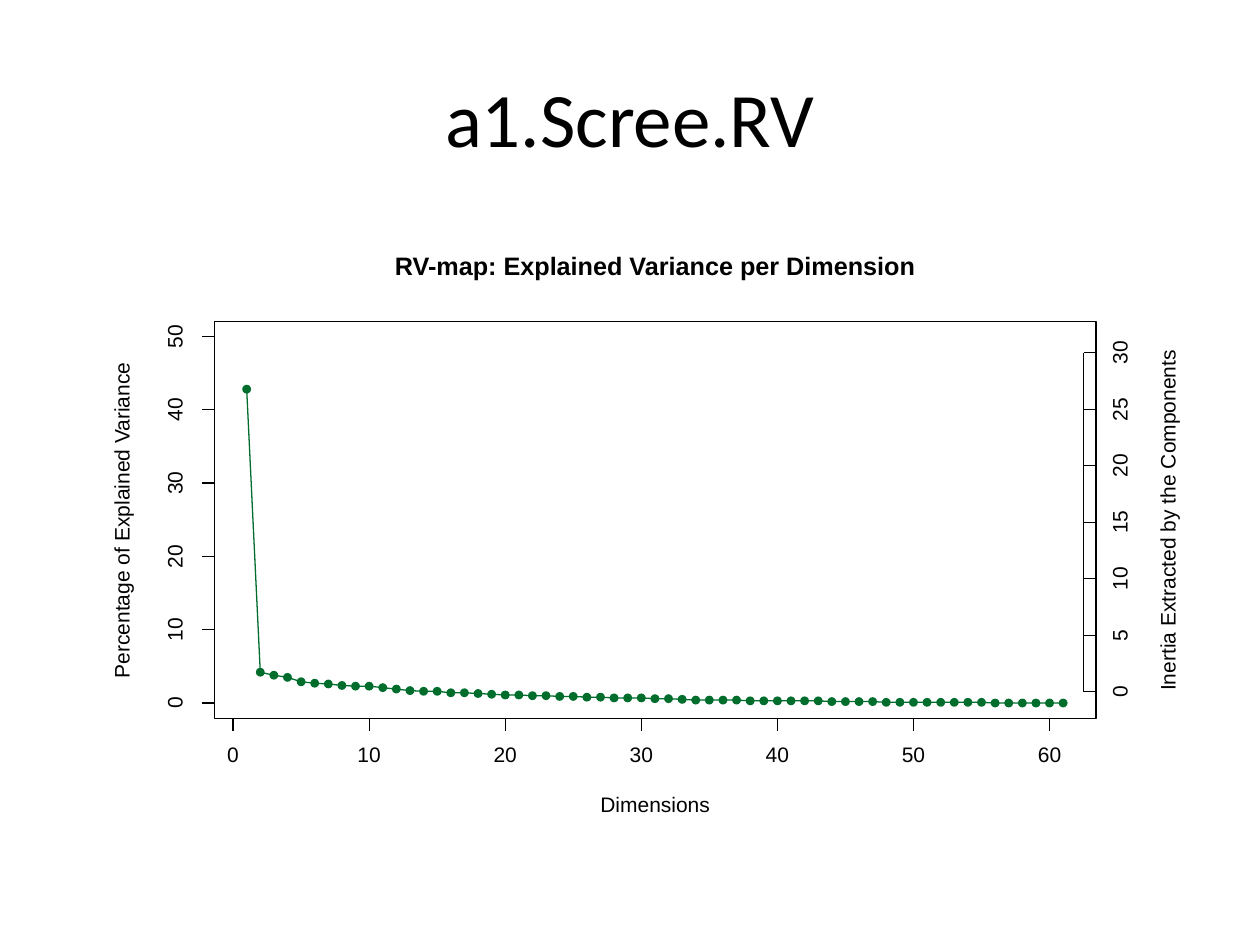
from dataclasses import dataclass

from lxml.etree import SubElement as Sub
from pptx import Presentation
from pptx.dml.color import RGBColor as Color
from pptx.enum.shapes import MSO_CONNECTOR as Link, MSO_SHAPE as Shape
from pptx.enum.text import MSO_ANCHOR as Anchor, PP_ALIGN as Align
from pptx.oxml.ns import qn
from pptx.util import Inches, Pt


@dataclass(frozen=True)
class Theme:
    ink: str = "000000"
    paper: str = "FFFFFF"
    green: str = "006D2C"
    head: float = 44
    title: float = 14.4
    label: float = 12
    line: float = 0.75
    head_font: str = "Calibri"
    font: str = "Arial"


@dataclass(frozen=True)
class Scale:
    zero: float
    end: float
    top: int
    step: int

    def at(self, value):
        return self.zero + (self.end - self.zero) * value / self.top

    def ticks(self):
        return [(str(n), self.at(n)) for n in range(0, self.top + 1, self.step)]


THEME = Theme()
LEFT, TOP, RIGHT, BASE = 1.7, 2.55, 8.7, 5.7
TICK, DOT = 0.1, 0.07
DIMS = Scale(1.85, 8.33, 60, 10)
SHARE = Scale(5.58, 2.67, 50, 10)
POWER = Scale(5.49, 2.8, 30, 5)
VALUES = [
    42.8, 4.2, 3.8, 3.5, 2.9, 2.7, 2.6, 2.4, 2.3, 2.3,
    2.1, 1.9, 1.7, 1.6, 1.6, 1.4, 1.4, 1.3, 1.2, 1.1,
    1.1, 1.0, 1.0, 0.9, 0.9, 0.8, 0.8, 0.7, 0.7, 0.7,
    0.6, 0.6, 0.5, 0.4, 0.4, 0.4, 0.4, 0.3, 0.3, 0.3,
    0.3, 0.3, 0.3, 0.2, 0.2, 0.2, 0.2, 0.1, 0.1, 0.1,
    0.1, 0.1, 0.1, 0.1, 0.1, 0.0, 0.0, 0.0, 0.0, 0.0, 0.0,
]


def put(target, form):
    for name, value in form.items():
        setattr(target, name, value)


def write(para, text, size, font, bold=False):
    para.alignment = Align.CENTER
    run = para.add_run()
    run.text = text
    put(run.font, {"size": Pt(size), "name": font, "bold": bold})
    run.font.color.rgb = Color.from_string(THEME.ink)


def paint(shape, fill=None, line=None):
    shape.shadow.inherit = False
    if fill:
        shape.fill.solid()
        shape.fill.fore_color.rgb = Color.from_string(fill)
    else:
        shape.fill.background()
    if line:
        shape.line.color.rgb = Color.from_string(line)
        shape.line.width = Pt(THEME.line)
    else:
        shape.line.fill.background()


def block(group, kind, box, fill=None, line=None):
    paint(group.add_shape(kind, *map(Inches, box)), fill, line)


def rule(group, *ends):
    line = group.add_connector(Link.STRAIGHT, *map(Inches, ends))
    line.line.color.rgb = Color.from_string(THEME.ink)
    line.line.width = Pt(THEME.line)
    Sub(line._element.spPr, qn("a:effectLst"))


def label(group, text, mid, size, turn=0, bold=False):
    wide, high = size
    box = group.add_textbox(*map(Inches, (mid[0] - wide / 2, mid[1] - high / 2, wide, high)))
    box.rotation = turn
    frame = box.text_frame
    put(frame, {"margin_left": 0, "margin_right": 0, "margin_top": 0,
                "margin_bottom": 0, "word_wrap": False,
                "vertical_anchor": Anchor.MIDDLE})
    points = THEME.title if bold else THEME.label
    para = frame.paragraphs[0]
    para.line_spacing = Pt(points)
    write(para, text, points, THEME.font, bold)


def mark(group, text, mid, turn=0):
    label(group, text, mid, (0.1 * len(text), 0.12), turn)


def curve(group, points):
    spots = [(Inches(x), Inches(y)) for x, y in points]
    pen = group.build_freeform(*spots[0])
    pen.add_line_segments(spots[1:], close=False)
    paint(pen.convert_to_shape(), line=THEME.green)


def base_scale(group):
    rule(group, DIMS.zero, BASE, DIMS.end, BASE)
    for text, x in DIMS.ticks():
        rule(group, x, BASE, x, BASE + TICK)
        mark(group, text, (x, 6))


def side_scale(group, scale, edge, near, far, mid):
    rule(group, edge, scale.zero, edge, scale.end)
    for text, y in scale.ticks():
        rule(group, near, y, far, y)
        mark(group, text, (mid, y), 270)


def plot(group):
    points = [(DIMS.at(n), SHARE.at(v)) for n, v in enumerate(VALUES, 1)]
    block(group, Shape.RECTANGLE, (0.5, 1.75, 9, 4.95), THEME.paper, THEME.paper)
    curve(group, points)
    base_scale(group)
    side_scale(group, SHARE, LEFT, LEFT, LEFT - TICK, 1.4)
    block(group, Shape.RECTANGLE, (LEFT, TOP, RIGHT - LEFT, BASE - TOP), line=THEME.ink)
    label(group, "RV-map: Explained Variance per Dimension", (5.2, 2.13), (4.2, 0.18), bold=True)
    label(group, "Dimensions", (5.2, 6.4), (0.92, 0.12))
    label(group, "Percentage of Explained Variance", (0.98, 4.13), (2.6, 0.16), 270)
    for x, y in points:
        block(group, Shape.OVAL, (x - DOT / 2, y - DOT / 2, DOT, DOT), THEME.green)
    label(group, "Inertia Extracted by the Components", (9.28, 4.13), (2.8, 0.16), 270)
    side_scale(group, POWER, RIGHT - TICK, RIGHT - TICK, RIGHT, 8.9)


def head(slide, text):
    title = slide.shapes.title
    put(title, {"left": Inches(0.5), "top": Inches(0.3),
                "width": Inches(9), "height": Inches(1.25)})
    title.text_frame.vertical_anchor = Anchor.MIDDLE
    write(title.text_frame.paragraphs[0], text, THEME.head, THEME.head_font)


def main():
    deck = Presentation()
    put(deck, {"slide_width": Inches(10), "slide_height": Inches(7.5)})
    slide = deck.slides.add_slide(deck.slide_layouts[5])
    head(slide, "a1.Scree.RV")
    plot(slide.shapes.add_group_shape().shapes)
    deck.save("out.pptx")


main()
